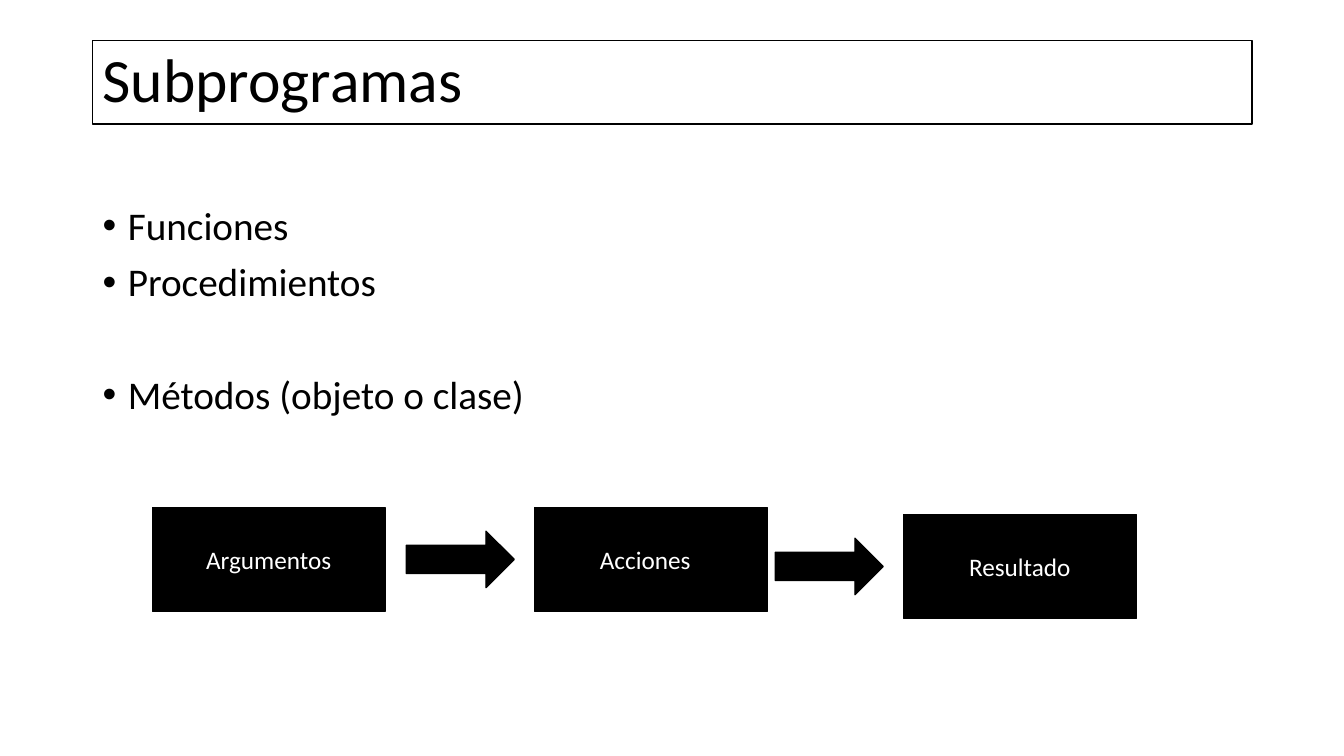
from lxml import etree
from pptx import Presentation
from pptx.dml.color import RGBColor
from pptx.enum.shapes import MSO_SHAPE
from pptx.enum.text import MSO_ANCHOR, PP_ALIGN
from pptx.oxml.ns import qn
from pptx.util import Inches, Pt

RECT, ARROW = MSO_SHAPE.RECTANGLE, MSO_SHAPE.RIGHT_ARROW
MIDDLE = MSO_ANCHOR.MIDDLE
LEFT, CENTER = PP_ALIGN.LEFT, PP_ALIGN.CENTER

COLORS = {"black": "000000", "white": "FFFFFF"}
FONT = "Calibri"


def rgb(name):
    return RGBColor.from_string(COLORS[name])


def write(p, text, size=18, color="black", align=LEFT, spacing=1.0, before=0):
    p.alignment = align
    p.line_spacing = spacing
    p.space_before = Pt(before)
    r = p.add_run()
    r.text = text
    r.font.name = FONT
    r.font.size = Pt(size)
    r.font.color.rgb = rgb(color)


def add_bullet(p, indent=0.25):
    pPr = p._p.get_or_add_pPr()
    pPr.set("marL", str(Inches(indent)))
    pPr.set("indent", str(-Inches(indent)))
    etree.SubElement(pPr, qn("a:buFont")).set("typeface", "Arial")
    etree.SubElement(pPr, qn("a:buChar")).set("char", "•")


class SlideBuilder:
    def __init__(self, slide):
        self.s = slide

    def shape(self, kind, x, y, w, h, fill="black"):
        sp = self.s.shapes.add_shape(kind, Inches(x), Inches(y), Inches(w), Inches(h))
        sp.shadow.inherit = False
        sp.fill.solid()
        sp.fill.fore_color.rgb = rgb(fill)
        sp.line.color.rgb = rgb("black")
        sp.line.width = Pt(1)
        return sp

    def box(self, text, x, y, w, h, fill="black", right_inset=0.1, **fmt):
        tf = self.shape(RECT, x, y, w, h, fill).text_frame
        tf.word_wrap = True
        tf.vertical_anchor = MIDDLE
        tf.margin_right = Inches(right_inset)
        write(tf.paragraphs[0], text, **fmt)

    def bullets(self, items, x, y, w, h):
        tf = self.s.shapes.add_textbox(Inches(x), Inches(y), Inches(w), Inches(h)).text_frame
        tf.word_wrap = True
        for i, (text, before) in enumerate(items):
            p = tf.add_paragraph() if i else tf.paragraphs[0]
            write(p, text, size=28, spacing=0.9, before=before)
            add_bullet(p)


def main():
    prs = Presentation()
    prs.slide_width, prs.slide_height = Inches(13.33), Inches(7.5)
    b = SlideBuilder(prs.slides.add_slide(prs.slide_layouts[6]))

    # Title
    b.box("Subprogramas", 0.92, 0.4, 11.5, 0.83, fill="white", size=44, spacing=0.9)

    # Kinds of subprogram, the last one set apart
    kinds = [("Funciones", 10), ("Procedimientos", 10), ("Métodos (objeto o clase)", 50)]
    b.bullets(kinds, 0.92, 2, 11.5, 4.76)

    # Flow: boxes (label, left, centre line, right inset) and arrows (left, centre line)
    box_w, box_h = 2.31, 1.03
    arrow_w, arrow_h = 1.07, 0.56
    upper, lower = 5.55, 5.62
    steps = [("Argumentos", 1.51, upper, 0.1),
             ("Acciones", 5.3, upper, 0.21),
             ("Resultado", 8.96, lower, 0.1)]
    for label, x, mid, inset in steps:
        b.box(label, x, mid - box_h / 2, box_w, box_h, right_inset=inset,
              color="white", align=CENTER)
    for x, mid in [(4.03, upper), (7.69, lower)]:
        b.shape(ARROW, x, mid - arrow_h / 2, arrow_w, arrow_h)

    prs.save("out.pptx")


if __name__ == "__main__":
    main()
